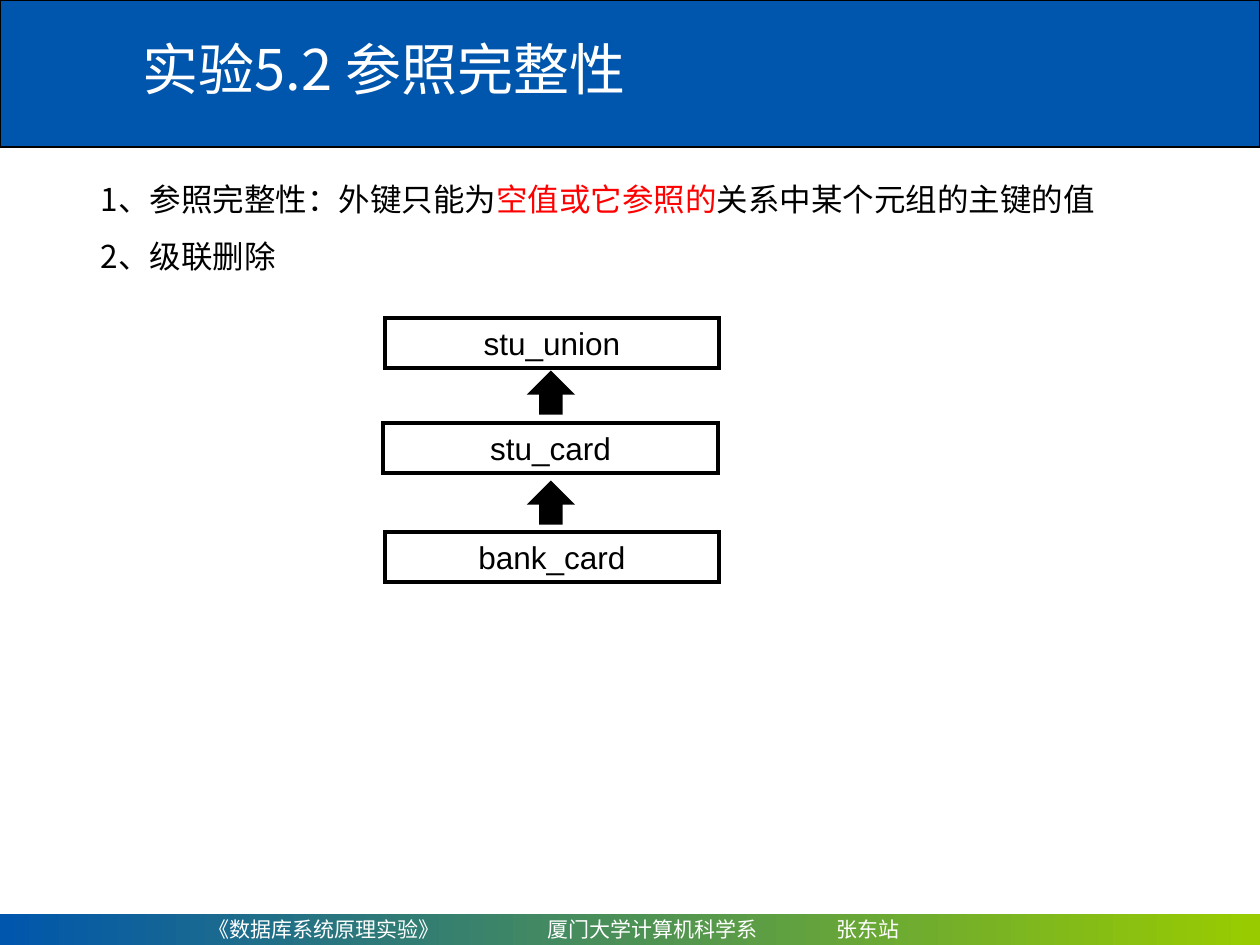
import pptx
import pptx.util
import pptx.dml.color
import pptx.enum.shapes
import pptx.enum.text
import pptx.oxml.ns
import lxml.etree

SCALE = 914400 / 126  # EMU per px
THEME = {
    "blue": "0056AC", "green": "99CC00", "white": "FFFFFF", "black": "000000", "red": "FF0000",
    "latin": "Arial", "cjk": "Noto Sans CJK SC",
    "title": 32, "body": 18, "footer": 12,
}
SHAPE = pptx.enum.shapes.MSO_SHAPE
ALIGN = pptx.enum.text.PP_ALIGN
ANCHOR = pptx.enum.text.MSO_ANCHOR
rgb = pptx.dml.color.RGBColor.from_string
qn = pptx.oxml.ns.qn


def px(n):
    return pptx.util.Emu(round(n * SCALE))


def style(r, size, color, font):
    r.font.size = pptx.util.Pt(THEME[size])
    r.font.color.rgb = rgb(THEME[color])
    r.font.name = THEME[font]
    ea = lxml.etree.SubElement(r.font._element, qn("a:ea"))
    ea.set("typeface", THEME["cjk"])


prs = pptx.Presentation()
prs.slide_width, prs.slide_height = px(1260), px(945)
s = prs.slides.add_slide(prs.slide_layouts[1])
title, body = s.placeholders

# Header band, behind the title
band = s.shapes.add_shape(SHAPE.RECTANGLE, 0, 0, px(1260), px(147))
band.shadow.inherit = False
band.fill.solid()
band.fill.fore_color.rgb = rgb(THEME["blue"])
band.line.color.rgb = rgb(THEME["black"])
band.line.width = pptx.util.Pt(0.75)
s.shapes._spTree.insert(2, band._element)

# Footer band: three entries at tab stops
footer = s.shapes.add_shape(SHAPE.RECTANGLE, 0, px(914), px(1260), px(31))
footer.shadow.inherit = False
footer.line.fill.background()
footer.fill.gradient()
footer.fill.gradient_angle = 0
for stop, color, position in zip(footer.fill.gradient_stops, ("blue", "green"), (0, 1)):
    stop.color.rgb = rgb(THEME[color])
    stop.position = position
tf = footer.text_frame
tf.margin_left, tf.margin_right, tf.margin_top, tf.margin_bottom = px(209), 0, 0, 0
tf.vertical_anchor = ANCHOR.MIDDLE
p = tf.paragraphs[0]
p.text = "《数据库系统原理实验》\t厦门大学计算机科学系\t张东站"
p.alignment = ALIGN.LEFT
tabs = lxml.etree.SubElement(p._p.get_or_add_pPr(), qn("a:tabLst"))
for x in (548, 837):
    lxml.etree.SubElement(tabs, qn("a:tab"), pos=str(px(x - 209)), algn="l")
for r in p.runs:
    style(r, "footer", "white", "latin")

# Title
title.left, title.top, title.width, title.height = px(130), px(26), px(1071), px(85)
tf = title.text_frame
tf.text = "实验5.2 参照完整性"
tf.auto_size = pptx.enum.text.MSO_AUTO_SIZE.NONE
tf.vertical_anchor = ANCHOR.MIDDLE
tf.paragraphs[0].alignment = ALIGN.LEFT
style(tf.paragraphs[0].runs[0], "title", "white", "cjk")

# Numbered statements
body.left, body.top, body.width, body.height = px(88), px(155), px(1108), px(140)
tf = body.text_frame
tf.auto_size = pptx.enum.text.MSO_AUTO_SIZE.NONE
statements = [
    [("1、参照完整性：外键只能为", "black"), ("空值或它参照的", "red"),
     ("关系中某个元组的主键的值", "black")],
    [("2、级联删除", "black")],
]
for i, parts in enumerate(statements):
    p = tf.add_paragraph() if i else tf.paragraphs[0]
    p.line_spacing = 1.5
    p.space_before = pptx.util.Pt(0)
    pPr = p._p.get_or_add_pPr()
    pPr.set("marL", "0")
    pPr.set("indent", "0")
    lxml.etree.SubElement(pPr, qn("a:buNone"))
    for text, color in parts:
        r = p.add_run()
        r.text = text
        style(r, "body", color, "cjk")

# Table chain: boxes, with an arrow up to each referenced table
chain = [
    (SHAPE.RECTANGLE, 385, 318, 334, 50, "white", "stu_union"),
    (SHAPE.RECTANGLE, 383, 423, 335, 50, "white", "stu_card"),
    (SHAPE.RECTANGLE, 385, 532, 334, 50, "white", "bank_card"),
    (SHAPE.UP_ARROW, 531, 373, 40, 40, "black", ""),
    (SHAPE.UP_ARROW, 531, 483, 40, 40, "black", ""),
]
for kind, x, y, w, h, fill, name in chain:
    sp = s.shapes.add_shape(kind, px(x), px(y), px(w), px(h))
    sp.shadow.inherit = False
    sp.fill.solid()
    sp.fill.fore_color.rgb = rgb(THEME[fill])
    sp.line.color.rgb = rgb(THEME["black"])
    sp.line.width = pptx.util.Pt(2)
    # Sharp corners
    lxml.etree.SubElement(sp.line._get_or_add_ln(), qn("a:miter"), lim="800000")
    if name:
        sp.text_frame.text = name
        sp.text_frame.vertical_anchor = ANCHOR.TOP
        p = sp.text_frame.paragraphs[0]
        p.alignment = ALIGN.CENTER
        style(p.runs[0], "body", "black", "latin")

prs.save("out.pptx")
